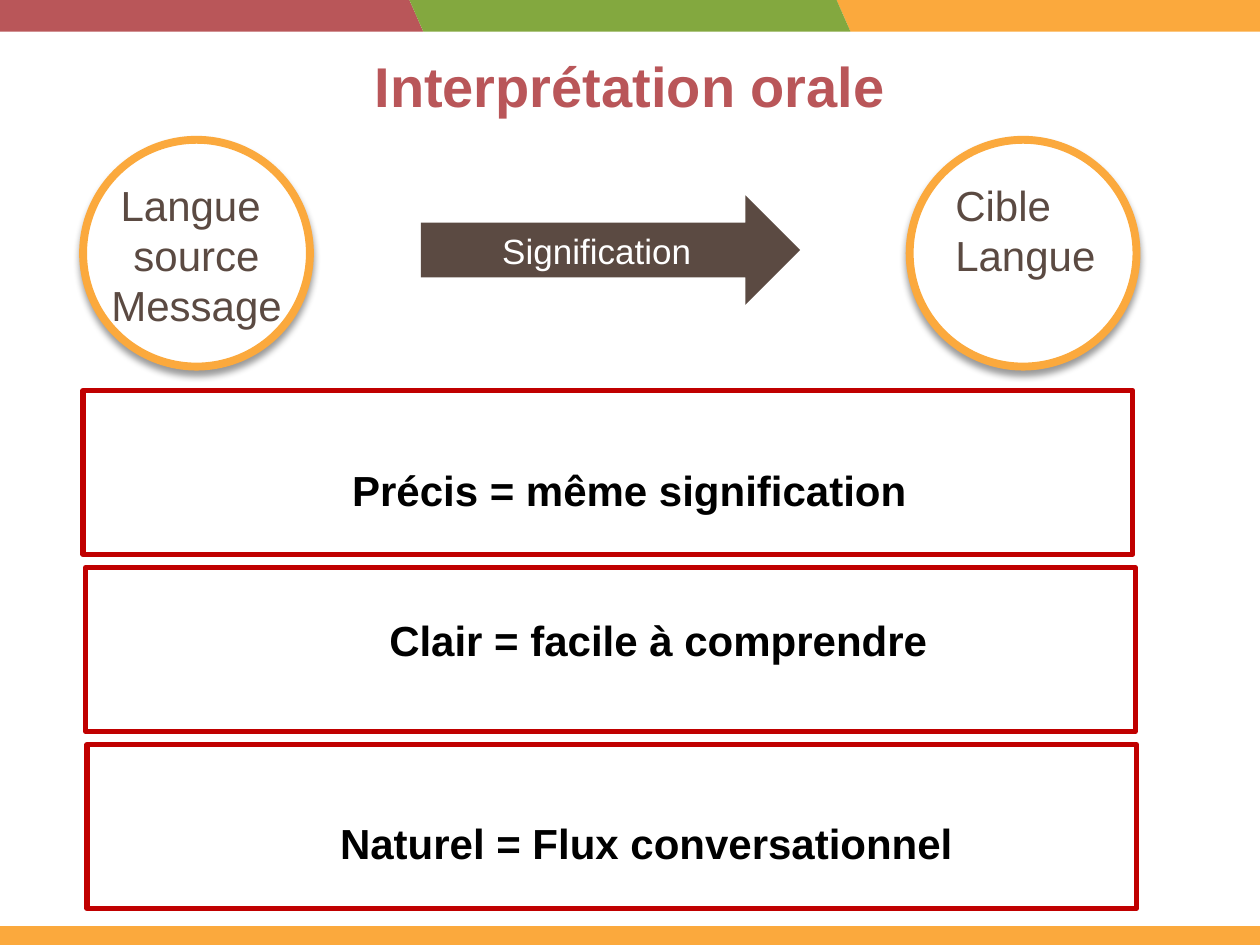
"""Build the slide on oral interpretation, from source message to target language."""
from typing import NamedTuple

from lxml import etree
from pptx import Presentation
from pptx.dml.color import RGBColor
from pptx.enum.shapes import MSO_SHAPE
from pptx.enum.text import MSO_ANCHOR, PP_ALIGN
from pptx.oxml import parse_xml
from pptx.oxml.ns import nsdecls, qn
from pptx.util import Inches, Pt

ELLIPSE, RECTANGLE = MSO_SHAPE.OVAL, MSO_SHAPE.RECTANGLE
PARALLELOGRAM, RIGHT_ARROW = MSO_SHAPE.PARALLELOGRAM, MSO_SHAPE.RIGHT_ARROW
TOP, MIDDLE = MSO_ANCHOR.TOP, MSO_ANCHOR.MIDDLE
LEFT, CENTER = PP_ALIGN.LEFT, PP_ALIGN.CENTER

ORANGE = RGBColor(0xFB, 0xA9, 0x3D)
ROSE = RGBColor(0xB9, 0x56, 0x59)
GREEN = RGBColor(0x83, 0xA8, 0x3F)
BROWN = RGBColor(0x5B, 0x4A, 0x42)
RED = RGBColor(0xC0, 0x00, 0x00)
WHITE = RGBColor(0xFF, 0xFF, 0xFF)
BLACK = RGBColor(0x00, 0x00, 0x00)
FONT = "Arial"


class Box(NamedTuple):
    left: float
    top: float
    width: float
    height: float


class Band(NamedTuple):
    position: int
    color: RGBColor


class Language(NamedTuple):
    left: float
    text: str
    alignment: PP_ALIGN


class Quality(NamedTuple):
    frame_left: float
    text: str
    indent: float
    space_before: float


BANDS = [Band(2, ORANGE), Band(0, ROSE), Band(1, GREEN)]
LANGUAGES = [
    Language(0.66, "Langue \nsource\nMessage", CENTER),
    Language(7.22, "Cible\nLangue", LEFT),
]
QUALITIES = [
    Quality(0.66, "Précis = même signification", 0, 0),
    Quality(0.68, "Clair = facile à comprendre", 0.46, 57),
    Quality(0.69, "Naturel = Flux conversationnel", 0.27, 87),
]


def inches(box: Box) -> list:
    return [Inches(length) for length in box]


def add_plain(slide, kind, box: Box, fill=None, line=None, line_width=0.0):
    shape = slide.shapes.add_shape(kind, *inches(box))
    shape.shadow.inherit = False
    if fill is None:
        shape.fill.background()
    else:
        shape.fill.solid()
        shape.fill.fore_color.rgb = fill
    if line is None:
        shape.line.fill.background()
    else:
        shape.line.color.rgb = line
        shape.line.width = Pt(line_width)
    return shape


def format_text(frame, size: float, color: RGBColor, bold=False, alignment=CENTER) -> None:
    for paragraph in frame.paragraphs:
        paragraph.alignment = alignment
        for run in paragraph.runs:
            run.font.name = FONT
            run.font.size = Pt(size)
            run.font.bold = bold
            run.font.color.rgb = color


def add_band(slide, band: Band) -> None:
    stripe = add_plain(slide, PARALLELOGRAM, Box(-0.14 + 3.39 * band.position, 0, 3.5, 0.25), band.color)
    stripe.adjustments[0] = 0.44
    stripe._element.spPr.find(qn("a:xfrm")).set("flipH", "1")


def add_language(slide, language: Language) -> None:
    circle = add_plain(slide, ELLIPSE, Box(language.left, 1.11, 1.8, 1.8), WHITE, ORANGE, 4.5)
    drop = parse_xml(
        f'<a:outerShdw {nsdecls("a")} blurRad="{Pt(4)}" dist="{Pt(3)}" dir="5400000" rotWithShape="0">'
        '<a:srgbClr val="000000"><a:alpha val="40000"/></a:srgbClr></a:outerShdw>'
    )
    circle._element.spPr.find(qn("a:effectLst")).append(drop)
    frame = circle.text_frame
    frame.text = language.text
    frame.word_wrap = False
    frame.vertical_anchor = TOP
    format_text(frame, 24, BROWN, alignment=language.alignment)


def add_qualities(slide) -> None:
    for row, quality in enumerate(QUALITIES):
        add_plain(slide, RECTANGLE, Box(quality.frame_left, 3.1 + 1.405 * row, 8.33, 1.3), None, RED, 3)
    frame = slide.shapes.add_textbox(*inches(Box(2.21, 3.64, 5.57, 3.33))).text_frame
    frame.word_wrap = True
    frame.text = "\n".join(quality.text for quality in QUALITIES)
    format_text(frame, 24, BLACK, bold=True)
    for paragraph, quality in zip(frame.paragraphs, QUALITIES):
        paragraph.space_before = Pt(quality.space_before)
        paragraph._p.get_or_add_pPr().set("marL", str(Inches(quality.indent)))


def add_title(slide) -> None:
    title = slide.shapes.title
    title.left, title.top, title.width, title.height = inches(Box(0.69, 0.42, 8.62, 1.45))
    frame = title.text_frame
    frame.text = "Interprétation orale"
    frame.vertical_anchor = TOP
    format_text(frame, 32, ROSE, bold=True)
    frame.paragraphs[0].line_spacing = 0.9


def add_meaning(slide) -> None:
    arrow = add_plain(slide, RIGHT_ARROW, Box(3.34, 1.55, 3.01, 0.87), BROWN)
    arrow.text_frame.text = "Signification"
    arrow.text_frame.vertical_anchor = MIDDLE
    format_text(arrow.text_frame, 20, WHITE)


def main() -> None:
    presentation = Presentation()
    presentation.slide_width, presentation.slide_height = Inches(10), Inches(7.5)
    slide = presentation.slides.add_slide(presentation.slide_layouts[5])
    for band in BANDS:
        add_band(slide, band)
    add_plain(slide, RECTANGLE, Box(0, 7.35, 10, 0.15), ORANGE)
    add_title(slide)
    for language in LANGUAGES:
        add_language(slide, language)
    add_meaning(slide)
    add_qualities(slide)
    presentation.save("out.pptx")


if __name__ == "__main__":
    main()
